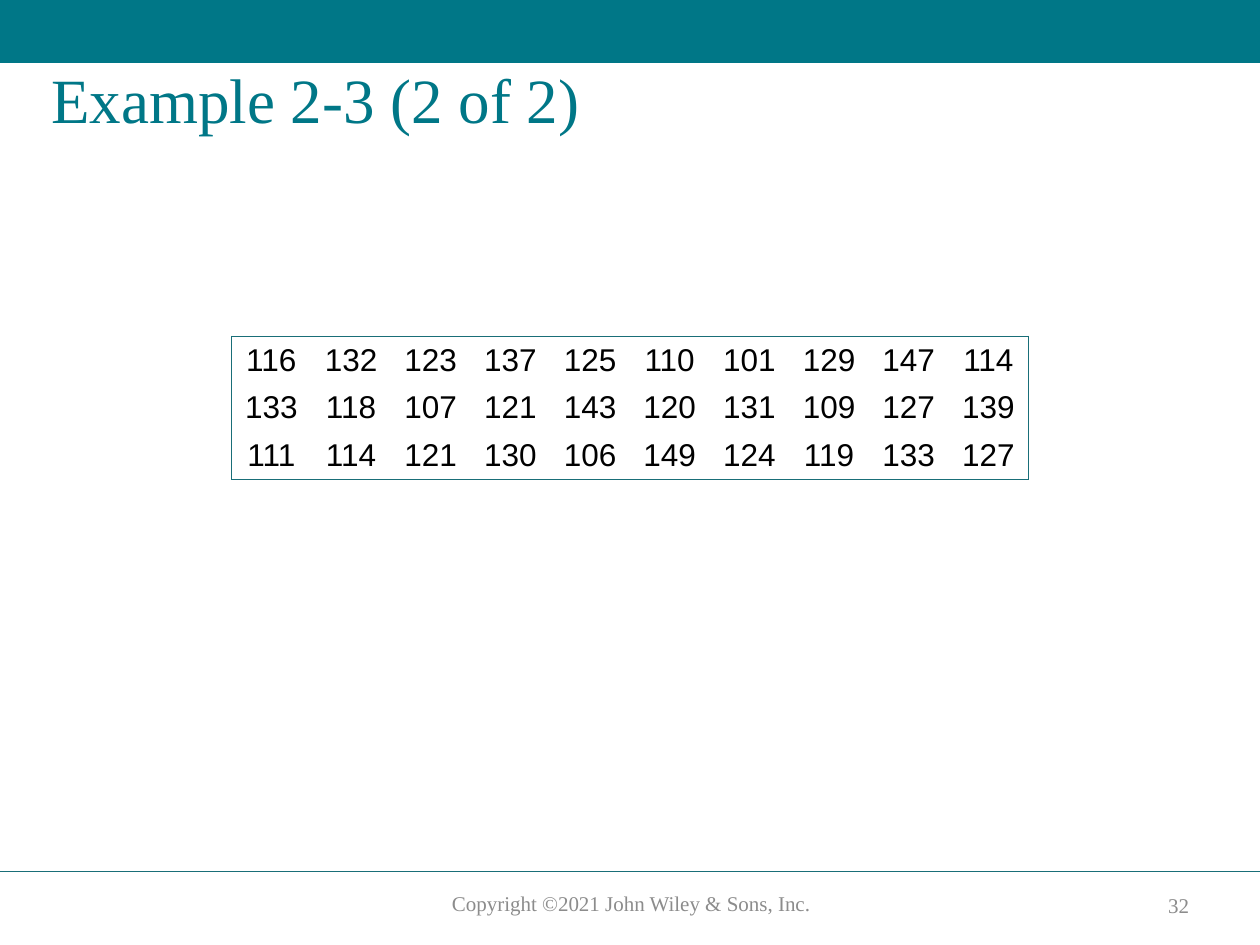
"""Build the Example 2-3 data table slide."""
from dataclasses import dataclass

from lxml import etree
from pptx import Presentation
from pptx.dml.color import RGBColor
from pptx.enum.shapes import MSO_CONNECTOR, MSO_SHAPE
from pptx.enum.text import MSO_ANCHOR, PP_ALIGN
from pptx.oxml.ns import qn
from pptx.slide import Slide
from pptx.table import _Cell
from pptx.text.text import _Paragraph
from pptx.util import Pt

LEFT, CENTER = PP_ALIGN.LEFT, PP_ALIGN.CENTER
TOP, MIDDLE = MSO_ANCHOR.TOP, MSO_ANCHOR.MIDDLE
RECTANGLE, STRAIGHT = MSO_SHAPE.RECTANGLE, MSO_CONNECTOR.STRAIGHT

SLIDE_WIDTH, SLIDE_HEIGHT = 720, 540
TEAL, RULE, GRAY, BLACK = "007787", "196E78", "8C8C8C", "000000"
SERIF, SANS = "Times New Roman", "Arial"
TABLE_LEFT, TABLE_TOP = 132.3, 192.2
COLUMN_WIDTH, ROW_HEIGHT = 45.54, 27.3
BORDER_WIDTH = 0.5
VALUES = [
    [116, 132, 123, 137, 125, 110, 101, 129, 147, 114],
    [133, 118, 107, 121, 143, 120, 131, 109, 127, 139],
    [111, 114, 121, 130, 106, 149, 124, 119, 133, 127],
]


@dataclass(frozen=True)
class Label:
    """A text box with one line of serif text."""

    text: str
    left: float
    top: float
    width: float
    height: float
    size: float
    color: str
    alignment: PP_ALIGN = CENTER
    anchor: MSO_ANCHOR = TOP
    line_spacing: float = 1.0


LABELS = [
    Label("Copyright ©2021 John Wiley & Sons, Inc.", 231.5, 505.5, 258.5, 21.8, 12, GRAY),
    Label("32", 651.6, 507, 43.9, 20, 12, GRAY, anchor=MIDDLE),
    Label("Example 2-3 (2 of 2)", 22.3, 36, 671.8, 90, 36, TEAL, LEFT, line_spacing=0.9),
]


def rgb(color: str) -> RGBColor:
    """Turn a hex string into a colour."""
    return RGBColor.from_string(color)


def add_run(paragraph: _Paragraph, text: str, font_name: str, size: float, color: str) -> None:
    """Add one formatted run to a paragraph."""
    run = paragraph.add_run()
    run.text = text
    run.font.name = font_name
    run.font.size = Pt(size)
    run.font.color.rgb = rgb(color)


def add_label(slide: Slide, label: Label) -> None:
    """Draw one label."""
    shape = slide.shapes.add_textbox(
        Pt(label.left), Pt(label.top), Pt(label.width), Pt(label.height)
    )
    frame = shape.text_frame
    frame.word_wrap = True
    frame.vertical_anchor = label.anchor
    paragraph = frame.paragraphs[0]
    paragraph.alignment = label.alignment
    paragraph.line_spacing = label.line_spacing
    add_run(paragraph, label.text, SERIF, label.size, label.color)


def add_banner(slide: Slide) -> None:
    """Draw the band across the top."""
    banner = slide.shapes.add_shape(RECTANGLE, Pt(0), Pt(0), Pt(SLIDE_WIDTH), Pt(36))
    banner.shadow.inherit = False
    banner.fill.solid()
    banner.fill.fore_color.rgb = rgb(TEAL)
    banner.line.fill.background()


def add_footer_rule(slide: Slide) -> None:
    """Draw the line above the footer."""
    rule = slide.shapes.add_connector(STRAIGHT, Pt(0), Pt(498), Pt(SLIDE_WIDTH), Pt(498))
    rule.line.color.rgb = rgb(RULE)
    rule.line.width = Pt(1)
    etree.SubElement(rule.element.spPr, qn("a:effectLst"))


def set_borders(cell: _Cell, edges: dict[str, bool]) -> None:
    """Rule the edges marked true and clear the others."""
    properties = cell._tc.get_or_add_tcPr()
    for tag, visible in edges.items():
        line = etree.SubElement(properties, qn(f"a:{tag}"), w=str(Pt(BORDER_WIDTH)))
        if visible:
            fill = etree.SubElement(line, qn("a:solidFill"))
            etree.SubElement(fill, qn("a:srgbClr"), val=RULE)
        else:
            etree.SubElement(line, qn("a:noFill"))


def add_data_table(slide: Slide) -> None:
    """Draw the values in a table ruled only around its outside."""
    row_count, column_count = len(VALUES), len(VALUES[0])
    table = slide.shapes.add_table(
        row_count, column_count, Pt(TABLE_LEFT), Pt(TABLE_TOP),
        Pt(COLUMN_WIDTH * column_count), Pt(ROW_HEIGHT * row_count),
    ).table
    table.first_row = table.horz_banding = False
    for column in table.columns:
        column.width = Pt(COLUMN_WIDTH)
    for row_index, values in enumerate(VALUES):
        table.rows[row_index].height = Pt(ROW_HEIGHT)
        for column_index, value in enumerate(values):
            cell = table.cell(row_index, column_index)
            cell.margin_left = cell.margin_right = cell.margin_top = Pt(3.6)
            cell.margin_bottom = Pt(0)
            set_borders(cell, {
                "lnL": column_index == 0,
                "lnR": column_index == column_count - 1,
                "lnT": row_index == 0,
                "lnB": row_index == row_count - 1,
            })
            cell.fill.background()
            paragraph = cell.text_frame.paragraphs[0]
            paragraph.alignment = CENTER
            paragraph.space_after = Pt(3)
            add_run(paragraph, str(value), SANS, 18, BLACK)


def main() -> None:
    """Build and save the presentation."""
    presentation = Presentation()
    presentation.slide_width = Pt(SLIDE_WIDTH)
    presentation.slide_height = Pt(SLIDE_HEIGHT)
    slide = presentation.slides.add_slide(presentation.slide_layouts[6])
    add_banner(slide)
    add_footer_rule(slide)
    for label in LABELS:
        add_label(slide, label)
    add_data_table(slide)
    presentation.save("out.pptx")


if __name__ == "__main__":
    main()
